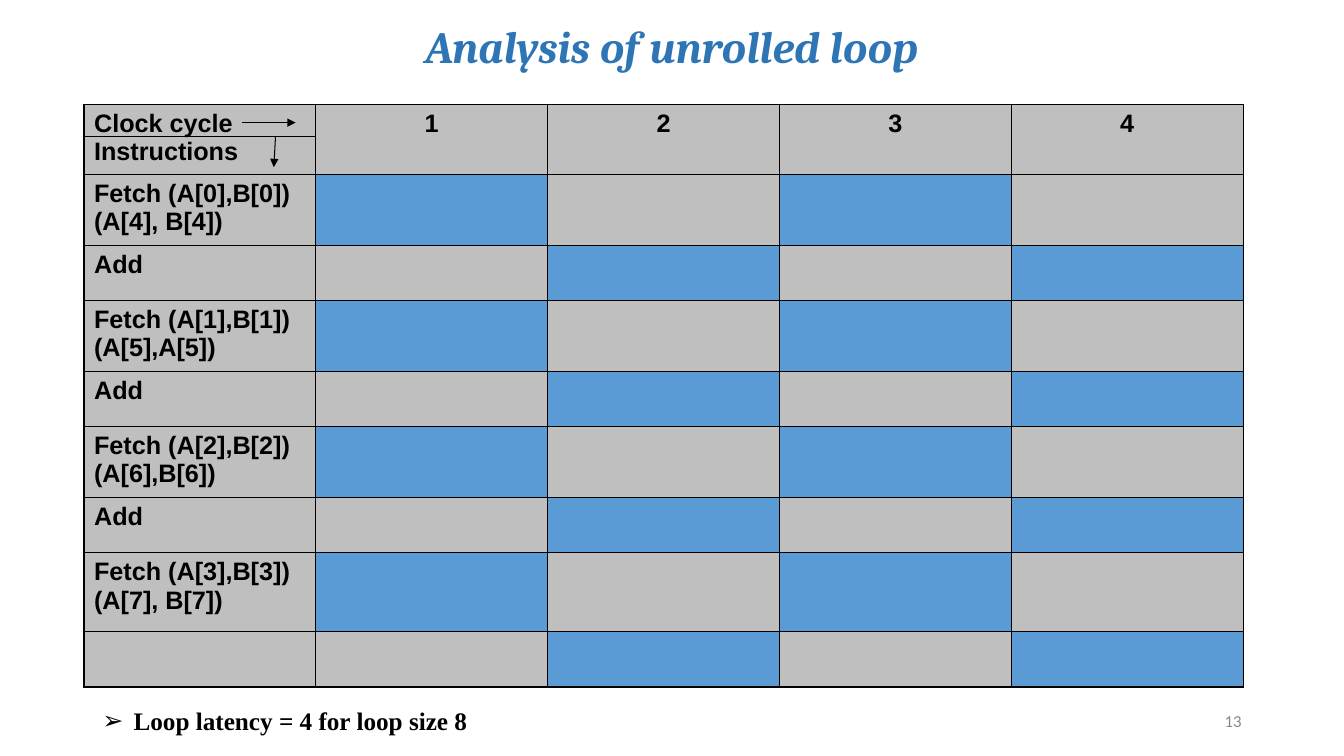
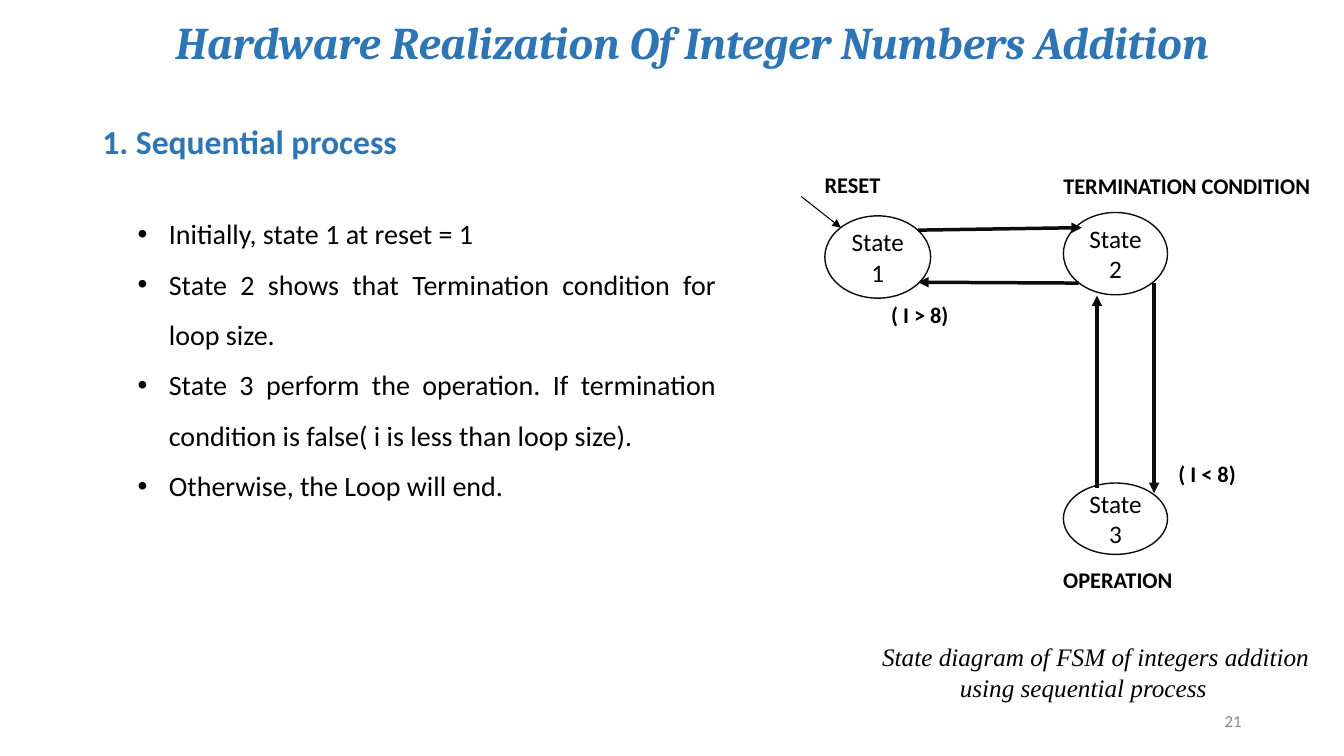
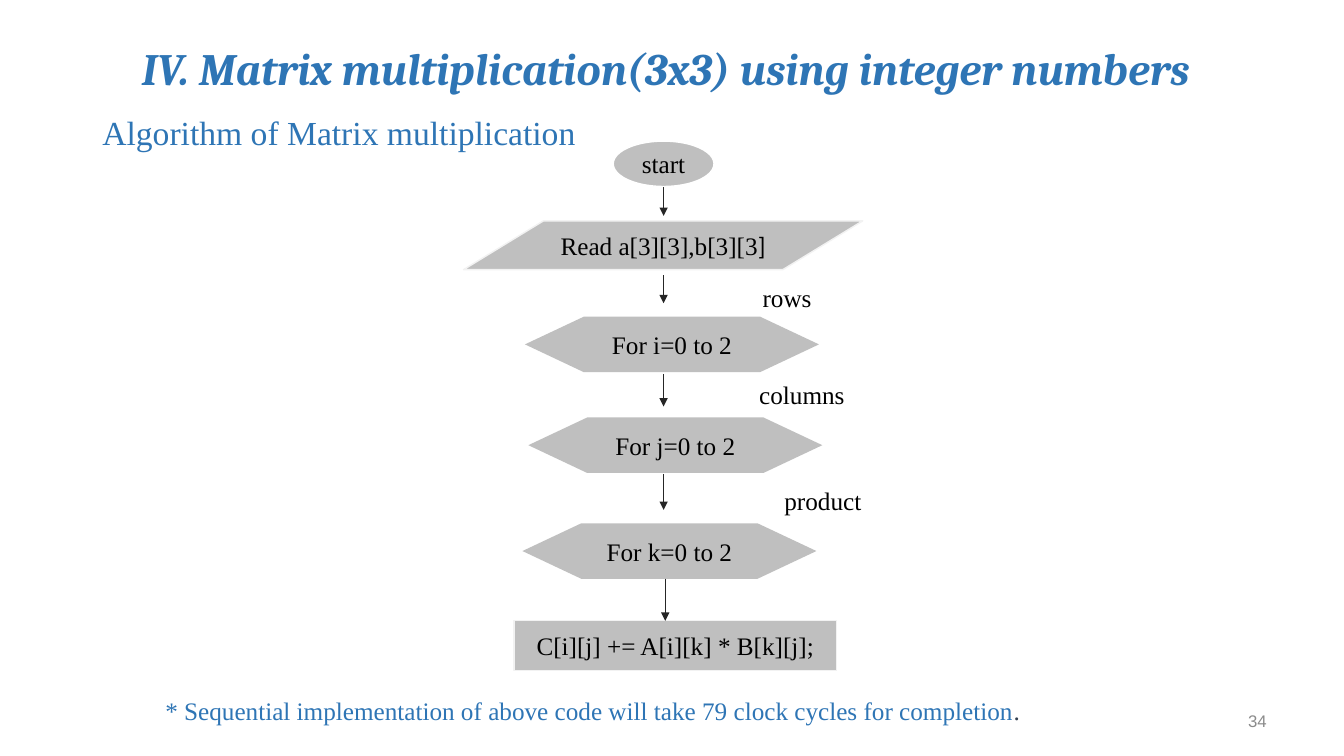
"""Build three slides on loop unrolling, a state machine and matrix multiplication."""
import lxml.etree
import pptx
import pptx.dml.color
import pptx.enum.shapes
import pptx.enum.text
import pptx.oxml.ns
import pptx.util

COLUMNS, ROWS = 160, 90
SHAPES = pptx.enum.shapes.MSO_SHAPE
ALIGN = pptx.enum.text.PP_ALIGN
ANCHOR = pptx.enum.text.MSO_ANCHOR
qn = pptx.oxml.ns.qn


class Theme:
    """Colours, text styles and paragraph formats shared by the slides."""
    white, black, ink = "FFFFFF", "000000", "0C0C0C"
    grey, blue, accent = "BFBFBF", "5B9BD5", "2E75B5"
    edge, arrow = "F2F2F2", "262626"
    thin, outline, thick = 0.75, 1, 2.5
    title = {"size": 32, "name": "Cambria", "color": accent, "bold": True, "italic": True}
    heading = {"size": 24, "name": "Calibri", "color": accent, "bold": True}
    serif_heading = {"size": 24, "name": "Times New Roman", "color": accent}
    table = {"size": 18, "name": "Arial", "color": black, "bold": True}
    serif = {"size": 18, "name": "Times New Roman", "color": black}
    state = {"size": 18, "name": "Calibri", "color": black}
    label = {"size": 16, "name": "Calibri", "color": black, "bold": True}
    bullet = {"size": 20, "name": "Calibri", "color": black}
    number = {"size": 12, "name": "Calibri", "color": "888888"}
    centered = {"alignment": ALIGN.CENTER}
    title_line = {"alignment": ALIGN.CENTER, "line_spacing": 0.9}
    bullet_line = {"alignment": ALIGN.JUSTIFY, "line_spacing": 1.5}


def across(columns):
    """Return the length of a number of grid columns."""
    return round(pptx.util.Inches(13.33) * columns / COLUMNS)


def down(rows):
    """Return the length of a number of grid rows."""
    return round(pptx.util.Inches(7.5) * rows / ROWS)


def place(left, top, width, height):
    """Turn grid units into a position and a size."""
    return across(left), down(top), across(width), down(height)


def color(value):
    """Return a colour object for a hex value."""
    return pptx.dml.color.RGBColor.from_string(value)


def apply(target, formats):
    """Set each attribute named in a dict of formats."""
    for name, value in formats.items():
        setattr(target, name, value)


def add_run(paragraph, text, style):
    """Append a run in a text style."""
    run = paragraph.add_run()
    run.text = text
    formats = dict(style)
    run.font.color.rgb = color(formats.pop("color"))
    formats["size"] = pptx.util.Pt(formats["size"])
    apply(run.font, formats)


def write(frame, lines, style, formats=None):
    """Fill a text frame with lines, each a string or a list of styled runs."""
    for index, line in enumerate(lines):
        paragraph = frame.paragraphs[0] if index == 0 else frame.add_paragraph()
        apply(paragraph, formats or {})
        for text, run_style in [(line, style)] if isinstance(line, str) else line:
            add_run(paragraph, text, run_style)


def indent(paragraph, left, first=0, bullet=None):
    """Indent a paragraph in inches and give it an optional bullet."""
    properties = paragraph._p.get_or_add_pPr()
    properties.set("marL", str(pptx.util.Inches(left)))
    properties.set("indent", str(pptx.util.Inches(first)))
    if bullet:
        fill = lxml.etree.SubElement(properties, qn("a:buClr"))
        lxml.etree.SubElement(fill, qn("a:srgbClr"), val=Theme.black)
        lxml.etree.SubElement(properties, qn("a:buFont"), typeface="Arial")
        lxml.etree.SubElement(properties, qn("a:buChar"), char=bullet)


def add_text(slide, box, lines, style, formats=None, anchor=ANCHOR.TOP):
    """Add a wrapping text box and return its text frame."""
    frame = slide.shapes.add_textbox(*place(*box)).text_frame
    apply(frame, {"word_wrap": True, "vertical_anchor": anchor})
    write(frame, lines, style, formats)
    return frame


def add_bullets(slide, box, lines, style, bullet, formats=None):
    """Add a text box of bulleted paragraphs."""
    frame = add_text(slide, box, lines, style, formats)
    for paragraph in frame.paragraphs:
        indent(paragraph, 0.31, -0.31, bullet)


def add_node(slide, kind, box, line, style, fill, outline=None):
    """Add a filled preset shape with centred text."""
    shape = slide.shapes.add_shape(kind, *place(*box))
    shape.shadow.inherit = False
    shape.fill.solid()
    shape.fill.fore_color.rgb = color(fill)
    if outline:
        shape.line.color.rgb = color(outline)
        shape.line.width = pptx.util.Pt(Theme.outline)
    else:
        shape.line.fill.background()
    apply(shape.text_frame, {"word_wrap": True, "vertical_anchor": ANCHOR.MIDDLE})
    write(shape.text_frame, [line], style, Theme.centered)


def add_line(slide, start, end, stroke, width=Theme.thin, arrow=True):
    """Add a straight line between two grid points, with an optional arrowhead."""
    connector = slide.shapes.add_connector(
        pptx.enum.shapes.MSO_CONNECTOR.STRAIGHT,
        across(start[0]), down(start[1]), across(end[0]), down(end[1]))
    connector.line.color.rgb = color(stroke)
    connector.line.width = pptx.util.Pt(width)
    properties = connector.element.spPr
    if arrow:
        lxml.etree.SubElement(properties.find(qn("a:ln")), qn("a:tailEnd"), type="triangle")
    lxml.etree.SubElement(properties, qn("a:effectLst"))


def add_slide(presentation, title, box, number, anchor=ANCHOR.MIDDLE, title_format=None,
              number_right=149, number_format=None):
    """Add a blank slide with the shared title and page number."""
    slide = presentation.slides.add_slide(presentation.slide_layouts[6])
    add_text(slide, box, [title], {**Theme.title, **(title_format or {})},
             Theme.title_line, anchor)
    add_text(slide, (number_right - 36, 83.4, 36, 4.8), [str(number)],
             {**Theme.number, **(number_format or {})},
             {"alignment": ALIGN.RIGHT}, ANCHOR.MIDDLE)
    return slide


def style_cell(cell, fill):
    """Fill a table cell and draw its four borders."""
    cell.fill.solid()
    cell.fill.fore_color.rgb = color(fill)
    properties = cell._tc.get_or_add_tcPr()
    for index, side in enumerate(("lnL", "lnR", "lnT", "lnB")):
        border = lxml.etree.Element(qn("a:" + side), w=str(pptx.util.Pt(Theme.outline)))
        solid = lxml.etree.SubElement(border, qn("a:solidFill"))
        lxml.etree.SubElement(solid, qn("a:srgbClr"), val=Theme.black)
        properties.insert(index, border)


def add_schedule(slide, box, heights, instructions, cycles):
    """Add the table that marks the busy clock cycles of each instruction."""
    table = slide.shapes.add_table(len(heights), cycles + 1, *place(*box)).table
    for column in table.columns:
        column.width = across(box[2] / (cycles + 1))
    for row_index, (height, lines) in enumerate(zip(heights, instructions)):
        table.rows[row_index].height = down(height)
        for cycle in range(cycles + 1):
            cell = table.cell(row_index, cycle)
            busy = row_index and cycle and (row_index + cycle) % 2 == 0
            style_cell(cell, Theme.blue if busy else Theme.grey)
            if cycle == 0:
                write(cell.text_frame, lines, Theme.table)
            elif row_index == 0:
                write(cell.text_frame, [str(cycle)], Theme.table, Theme.centered)


def build_unrolled_loop(presentation):
    """Build the clock cycle table of the unrolled loop."""
    slide = add_slide(presentation, "Analysis of unrolled loop", (11, -0.2, 138, 12.1), 13)
    instructions = [
        ["Clock cycle", "Instructions"],
        ["Fetch (A[0],B[0])", "(A[4], B[4])"], ["Add"],
        ["Fetch (A[1],B[1])", "(A[5],A[5])"], ["Add"],
        ["Fetch (A[2],B[2])", "(A[6],B[6])"], ["Add"],
        ["Fetch (A[3],B[3]) (A[7], B[7])"], [],
    ]
    fetch, add = 8.28, 6.6
    heights = [fetch] + [fetch, add] * 3 + [9.36, add]
    add_schedule(slide, (10, 12.4, 138, sum(heights)), heights, instructions, 4)
    add_line(slide, (32.8, 16.3), (32.6, 19.9), Theme.black)
    add_line(slide, (10, 16.3), (37.5, 16.3), Theme.black, arrow=False)
    add_line(slide, (28.8, 14.6), (35.2, 14.6), Theme.black)
    add_bullets(slide, (11, 83.4, 46.3, 4.8), ["Loop latency = 4 for loop size 8"],
                {**Theme.serif, "bold": True}, "➢")


def build_state_machine(presentation):
    """Build the state diagram of the sequential process."""
    slide = add_slide(presentation, "Hardware Realization Of Integer Numbers Addition",
                      (13.4, 1.8, 138, 9.4), 21, ANCHOR.TOP, {"size": 32.4})
    add_text(slide, (11, 14.4, 138, 66.6), ["1. Sequential process"],
             Theme.heading, {"line_spacing": 0.9})
    states = [(98.2, 25.7, 12.6, 9.8), (126.6, 25.3, 12.4, 9.8), (126.6, 57.5, 12.4, 8.5)]
    for number, box in enumerate(states, 1):
        add_node(slide, SHAPES.OVAL, box, f"State {number}", Theme.state,
                 Theme.white, Theme.ink)
    transitions = [
        ((109.3, 27.4), (128.8, 27.1)), ((128.4, 33.7), (109.3, 33.6)),
        ((130.6, 58.1), (130.6, 35.2)), ((137.4, 33.7), (137.4, 58.7)),
    ]
    for start, end in transitions:
        add_line(slide, start, end, Theme.ink, Theme.thick)
    add_line(slide, (95.4, 23.4), (100.1, 27.1), Theme.black)
    labels = [
        ("RESET", 97, 19.8, 21), ("TERMINATION CONDITION", 125.4, 19.9, 33),
        ("OPERATION", 125.4, 66.8, 24.8), ("( I > 8)", 104.9, 35.2, 24.8),
        ("( I < 8)", 139.1, 54.2, 20.8),
    ]
    for text, left, top, width in labels:
        add_text(slide, (left, top, width, 4.4), [text], Theme.label)
    caption = add_text(slide, (101.8, 75.8, 55.8, 8.5),
                       ["State diagram of FSM of integers addition",
                        "using sequential process"], {**Theme.serif, "italic": True})
    for paragraph, left in zip(caption.paragraphs, (0.17, 0.94)):
        indent(paragraph, left)
    add_bullets(slide, (15.2, 23.2, 71.2, 37.6), [
        "Initially, state 1 at reset = 1",
        "State 2 shows that Termination condition for loop size.",
        "State 3 perform the operation. If termination condition is false"
        "( i is less than loop size).",
        "Otherwise, the Loop will end.",
    ], Theme.bullet, "•", Theme.bullet_line)


def build_matrix_flowchart(presentation):
    """Build the flowchart of the matrix multiplication."""
    slide = add_slide(presentation, "IV. Matrix multiplication(3x3) using integer numbers",
                      (9.6, 0, 139.4, 17), 34, number_right=152,
                      number_format={"name": "Arial", "color": "8B8B8B"})
    add_text(slide, (11, 13.3, 138, 66.4), ["Algorithm of Matrix multiplication"],
             Theme.serif_heading, {"line_spacing": 0.9})
    read = [("Read a[3][3],b[3][3", Theme.serif), ("]", Theme.state)]
    add_node(slide, SHAPES.OVAL, (73, 16.8, 12, 5.4), "start", Theme.serif,
             Theme.grey, Theme.white)
    add_node(slide, SHAPES.FLOWCHART_DATA, (55.2, 26.3, 47.5, 5.8), read, Theme.serif,
             Theme.grey, Theme.edge)
    loops = [
        ("i", 62.5, 37.7, "rows", 89.6, 33), ("j", 62.9, 49.7, "columns", 89.2, 44.6),
        ("k", 62.2, 62.3, "product", 92.2, 57.2),
    ]
    for index, left, top, label, label_left, label_top in loops:
        add_node(slide, SHAPES.FLOWCHART_PREPARATION, (left, top, 35, 6.6),
                 f"For {index}=0 to 2", Theme.serif, Theme.grey)
        add_text(slide, (label_left, label_top, 14, 4.8), [label], Theme.serif)
    add_node(slide, SHAPES.RECTANGLE, (61.2, 73.9, 38.4, 5.9),
             "C[i][j] += A[i][k] * B[k][j];", Theme.serif, Theme.grey, Theme.edge)
    arrows = [(79, 22.3, 25.7), (79, 32.8, 36.1), (79, 44.5, 48.4), (79, 56.4, 60.7),
              (79.2, 68.9, 73.9)]
    for column, top, bottom in arrows:
        add_line(slide, (column, top), (column, bottom), Theme.arrow)
    note = "* Sequential implementation of above code will take 79 clock cycles for completion"
    add_text(slide, (18.5, 82.2, 109, 4.8),
             [[(note, {**Theme.serif, "color": Theme.accent}),
               (".", {**Theme.serif, "color": "323F4F"})]], Theme.serif)


def main():
    """Build and save the presentation."""
    presentation = pptx.Presentation()
    apply(presentation, {"slide_width": across(COLUMNS), "slide_height": down(ROWS)})
    for build in (build_unrolled_loop, build_state_machine, build_matrix_flowchart):
        build(presentation)
    presentation.save("out.pptx")


if __name__ == "__main__":
    main()
